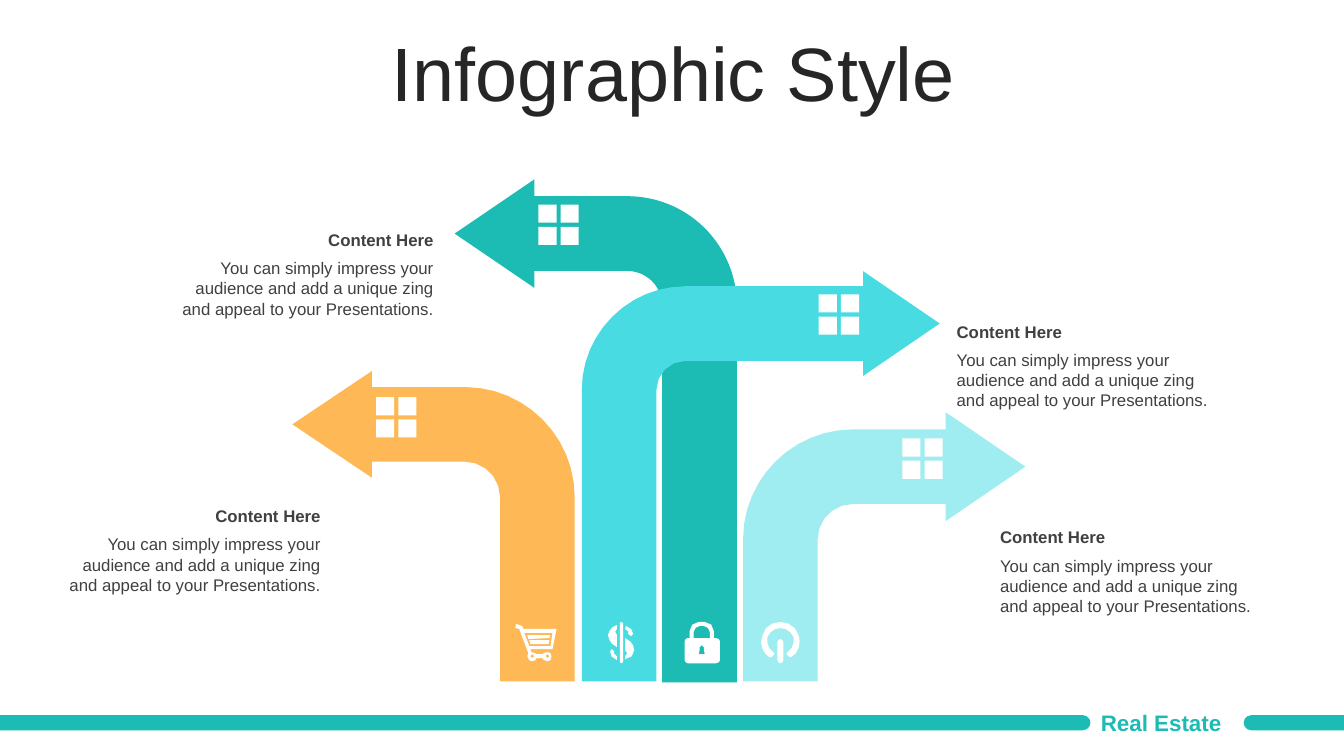
from pptx import Presentation
from pptx import util as u
from pptx.dml.color import RGBColor
from pptx.enum import shapes, text

PX = 9144  # EMU per px, 100 px to the inch
TEAL = RGBColor(0x1C, 0xBB, 0xB4)
CYAN = RGBColor(0x48, 0xDC, 0xE2)
PALE = RGBColor(0x9F, 0xED, 0xF0)
ORANGE = RGBColor(0xFE, 0xB8, 0x56)
WHITE = RGBColor(0xFF, 0xFF, 0xFF)
INK = RGBColor(0x26, 0x26, 0x26)
GREY = RGBColor(0x40, 0x40, 0x40)
MSO = shapes.MSO_SHAPE
ALIGN = text.PP_ALIGN
MIDDLE = text.MSO_ANCHOR.MIDDLE

prs = Presentation()
prs.slide_width, prs.slide_height = 1333 * PX, 750 * PX
s = prs.slides.add_slide(prs.slide_layouts[6])


def paint(sp, color):
    sp.shadow.inherit = False
    sp.fill.solid()
    sp.fill.fore_color.rgb = color
    sp.line.fill.background()
    return sp


def label(box, words, size, color, align, bold=False, anchor=MIDDLE):
    tf = s.shapes.add_textbox(*[v * PX for v in box]).text_frame
    tf.word_wrap = True
    tf.vertical_anchor = anchor
    tf.text = words
    p = tf.paragraphs[0]
    p.alignment = align
    font = p.runs[0].font
    font.name, font.size, font.bold = "Arial", u.Pt(size), bold
    font.color.rgb = color
    return p


# Footer bars and name
for x, y, w, h, turn in [(533, 176, 15, 1082, 90), (1276, 667, 15, 100, 270)]:
    sp = paint(s.shapes.add_shape(MSO.ROUND_2_SAME_RECTANGLE, x * PX, y * PX, w * PX, h * PX), TEAL)
    sp.adjustments[0], sp.adjustments[1] = 0.5, 0
    sp.rotation = turn
label((1082, 698, 151, 37), "Real Estate", 16, TEAL, ALIGN.JUSTIFY, bold=True)

# Title
p = label((35, 37, 1266, 79), "Infographic Style", 54, INK, ALIGN.CENTER)
p.line_spacing = 0.9

# Tall teal arrow, pointing left
sp = paint(s.shapes.add_shape(MSO.BENT_ARROW, 451 * PX, 178 * PX, 280 * PX, 499 * PX), TEAL)
for i, value in enumerate([0.265, 0.192, 0.282, 0.388]):
    sp.adjustments[i] = value
sp._element.spPr.xfrm.set("flipH", "1")

# Outlines: each contour lists points (x, y) and curves (x1, y1, x2, y2, x, y)
outlines = []

# Curved arrows: outer stem edge, direction, arm top, outer radius, neck, tip, overhang
BAND, BASE, KAPPA = 74, 676, 0.55
for edge, way, top, radius, neck, tip, over, color in [
    (577, 1, 284, 103, 856, 932, 15, CYAN),
    (737, 1, 426, 109, 938, 1017, 17, PALE),
    (570, -1, 384, 109, 369, 290, 16, ORANGE),
]:
    inner, bottom = edge + way * BAND, top + BAND
    bend_x, bend_y = edge + way * radius, top + radius
    out_k, in_k = KAPPA * radius, KAPPA * (radius - BAND)
    outlines.append((color, 0, [[
        (neck, top - over), (tip, top + BAND / 2), (neck, bottom + over),
        (neck, bottom), (bend_x, bottom),
        (bend_x - way * in_k, bottom, inner, bend_y - in_k, inner, bend_y),
        (inner, BASE), (edge, BASE), (edge, bend_y),
        (edge, bend_y - out_k, bend_x - way * out_k, top, bend_x, top),
        (neck, top),
    ]]))

# Icons at the foot of the stems
dollar = [
    [(626, 631), (623, 629), (624, 628, 624, 625, 620, 624), (621, 621),
     (626, 622, 628, 626, 628, 629)],
    [(612, 642), (605, 639, 604, 634, 603, 630), (604, 626, 607, 621, 612, 620), (612, 624),
     (610, 625, 609, 628, 612, 630)],
    [(620, 654), (620, 651), (622, 650, 624, 647, 620, 645), (620, 633),
     (627, 636, 629, 641, 629, 645), (629, 649, 626, 654, 620, 654)],
    [(612, 655), (607, 654, 605, 649, 605, 646), (607, 644), (609, 646),
     (609, 648, 609, 650, 612, 651)],
    [(616, 658), (615, 657), (615, 618), (616, 617), (618, 618), (618, 657)],
]
power = [
    [(783, 623), (785, 623), (792, 628, 795, 636, 792, 644), (790, 653, 783, 658, 774, 658),
     (766, 658, 758, 653, 756, 645), (753, 637, 756, 628, 763, 623),
     (765, 623), (768, 626), (767, 628), (762, 631, 760, 637, 761, 643),
     (763, 648, 768, 652, 774, 652), (780, 652, 785, 648, 787, 643),
     (788, 637, 786, 631, 781, 628), (780, 626)],
    [(774, 617), (776, 618), (777, 620), (777, 638), (776, 640), (774, 641),
     (772, 640), (771, 638), (771, 620), (772, 618)],
]
padlock = [
    [(696, 640), (694, 642), (694, 644), (693, 649), (699, 649), (698, 644), (698, 642)],
    [(694, 621), (691, 621, 688, 624, 688, 627), (688, 633), (704, 633), (704, 627),
     (704, 624, 701, 621, 698, 621)],
    [(693, 617), (699, 617), (704, 617, 708, 621, 708, 626), (708, 633), (710, 633),
     (713, 634), (714, 636), (714, 655), (713, 657), (710, 658), (682, 658),
     (680, 657), (679, 655), (679, 636), (680, 634), (682, 633), (684, 633),
     (684, 626), (684, 621, 688, 617, 693, 617)],
]
cart = [
    [(545, 635), (544, 639), (526, 639), (525, 635)],
    [(546, 630), (545, 633), (524, 634), (523, 630)],
    [(520, 628), (525, 641), (546, 641), (548, 628)],
    [(512, 619), (518, 621), (519, 624), (552, 624), (548, 644), (526, 644), (527, 647),
     (531, 648), (532, 649), (538, 649), (539, 648), (543, 647), (546, 648), (547, 651),
     (546, 655), (543, 656), (540, 655), (538, 653), (532, 653),
     (531, 655), (528, 656), (525, 655), (523, 651), (524, 648), (515, 624), (511, 623)],
]
for x in (528, 543):  # wheel hubs
    cart.append([(x, 649), (x - 2, 651), (x, 653), (x + 2, 651)])
outlines += [(WHITE, 0, dollar), (WHITE, 180, power), (WHITE, 0, padlock), (WHITE, 0, cart)]

# Draw the arrows and icons; longer curves get more steps
for color, turn, contours in outlines:
    builder = s.shapes.build_freeform(contours[0][0][0] * PX, contours[0][0][1] * PX)
    for n, contour in enumerate(contours):
        x, y = contour[0]
        if n:
            builder.move_to(x * PX, y * PX)
        points = []
        for part in contour[1:]:
            if len(part) == 6:
                x1, y1, x2, y2, x3, y3 = part
                steps = 2 + int(max(abs(x3 - x), abs(y3 - y)) / 10)
                for t in [k / steps for k in range(1, steps)]:
                    a, b, c, d = (1 - t) ** 3, 3 * t * (1 - t) ** 2, 3 * t * t * (1 - t), t ** 3
                    points.append((a * x + b * x1 + c * x2 + d * x3, a * y + b * y1 + c * y2 + d * y3))
            x, y = part[-2:]
            points.append((x, y))
        builder.add_line_segments([(px * PX, py * PX) for px, py in points], close=True)
    paint(builder.convert_to_shape(), color).rotation = turn

# Window icons: four panes each
PANE, STEP = 18, 22
for left, top in [(373, 394), (534, 203), (812, 292), (895, 435)]:
    for i in range(4):
        x, y = left + i % 2 * STEP, top + i // 2 * STEP
        paint(s.shapes.add_shape(MSO.RECTANGLE, x * PX, y * PX, PANE * PX, PANE * PX), WHITE)

# Captions
BODY = "You can simply impress your audience and add a unique zing and appeal to your Presentations."
for x, y, align in [(163, 223, ALIGN.RIGHT), (51, 497, ALIGN.RIGHT),
                    (982, 518, ALIGN.LEFT), (939, 314, ALIGN.LEFT)]:
    label((x, y, 277, 30), "Content Here", 12, GREY, align, bold=True)
    label((x, y + 28, 277, 71), BODY, 12, GREY, align, anchor=text.MSO_ANCHOR.TOP)

prs.save("out.pptx")
